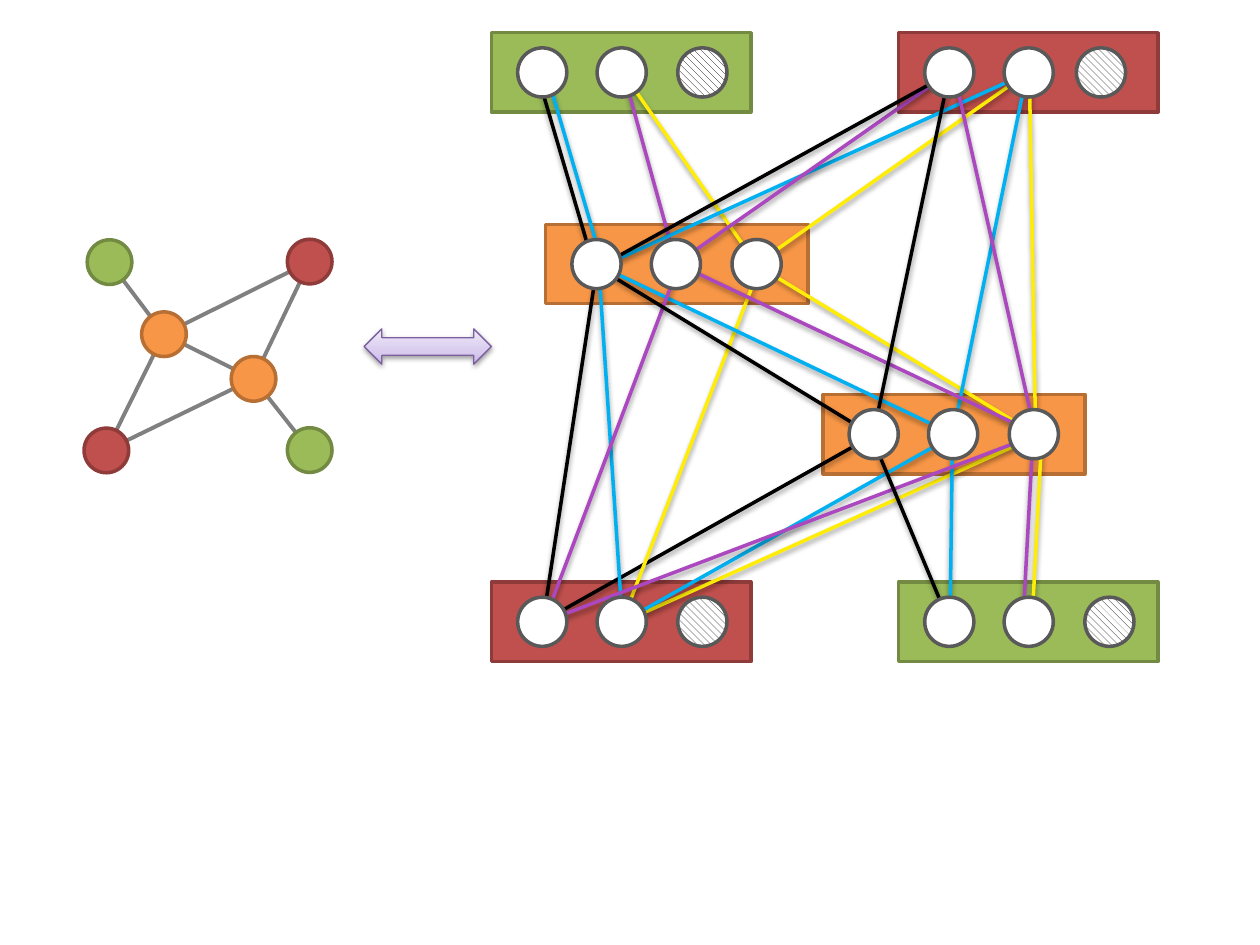
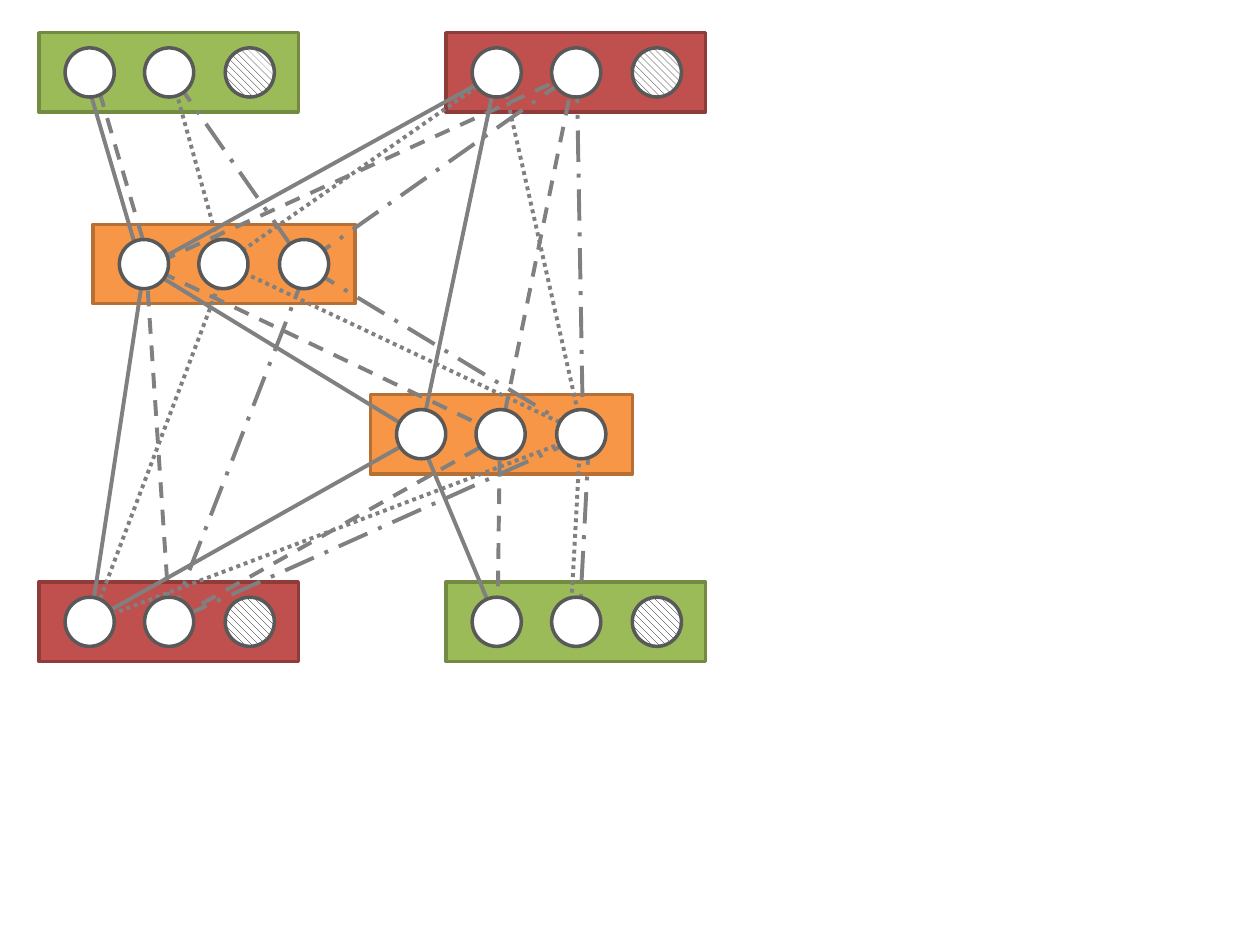
from dataclasses import dataclass
from enum import Enum
from typing import NamedTuple, Optional

from lxml.etree import SubElement
from pptx import Presentation
from pptx.dml.color import RGBColor
from pptx.enum.dml import MSO_LINE, MSO_PATTERN
from pptx.enum.shapes import MSO_CONNECTOR, MSO_SHAPE
from pptx.oxml import parse_xml
from pptx.oxml.ns import nsdecls, qn
from pptx.util import Pt


class Paint(NamedTuple):
    fill: str
    line: str


@dataclass(frozen=True)
class Theme:
    green: Paint = Paint("9BBB59", "738A42")
    red: Paint = Paint("C0504D", "8E3B39")
    orange: Paint = Paint("F79646", "B76F34")
    slot: Paint = Paint("FFFFFF", "595959")
    arrow_line: str = "7D60A0"
    arrow_stops: tuple = ((0, "C9B5E8"), (35, "D8CBEE"), (100, "F0EAF9"))
    black: str = "000000"
    blue: str = "00B0F0"
    purple: str = "AB47BF"
    yellow: str = "FFED07"
    gray: str = "808080"
    outline: float = 2
    edge: float = 2.25
    arrow_outline: float = 0.75


THEME = Theme()


class Signal(Enum):
    """Each kind of wire, with its colour and its dash."""
    FIRST = (THEME.black, None)
    SECOND = (THEME.blue, MSO_LINE.DASH)
    THIRD = (THEME.purple, MSO_LINE.ROUND_DOT)
    FOURTH = (THEME.yellow, MSO_LINE.LONG_DASH_DOT)


class Node(NamedTuple):
    paint: Paint
    x: float
    y: float


class Tray(NamedTuple):
    paint: Paint
    left: float
    top: float


class Wire(NamedTuple):
    signal: Signal
    x1: float
    y1: float
    x2: float
    y2: float


NODE_SIZE = 25.5
NODES = {
    "green top": Node(THEME.green, 62.6, 149.8),
    "red bottom": Node(THEME.red, 60.8, 257.4),
    "green bottom": Node(THEME.green, 177, 257.2),
    "red top": Node(THEME.red, 177, 149.5),
    "orange left": Node(THEME.orange, 93.7, 191),
    "orange right": Node(THEME.orange, 144.9, 216.5),
}
EDGES = (
    ("red top", "orange left"),
    ("orange left", "red bottom"),
    ("green top", "orange left"),
    ("orange right", "orange left"),
    ("red top", "orange right"),
    ("green bottom", "orange right"),
    ("orange right", "red bottom"),
)

TRAY_HEIGHT = 45.4
SLOT_SIZE = 28.1
SLOT_OFFSETS = (15, 60.4, 106.5)
TOP_RED = Tray(THEME.red, 513.4, 18.7)
TRAYS = (
    TOP_RED,
    Tray(THEME.orange, 311.8, 128.2),
    Tray(THEME.green, 280.8, 18.7),
    Tray(THEME.orange, 470.2, 225.4),
    Tray(THEME.green, 513.4, 332.6),
    Tray(THEME.red, 280.8, 332.6),
)

S = Signal
WIRES = (
    Wire(S.FIRST, 341.3, 151.2, 310.3, 355),
    Wire(S.FIRST, 499.7, 248.4, 310.3, 355),
    Wire(S.SECOND, 311, 37.4, 343.4, 147.6),
    Wire(S.THIRD, 355.7, 39.6, 386.6, 151.2),
    Wire(S.FOURTH, 357.1, 43.2, 432, 150.5),
    Wire(S.FOURTH, 432.7, 150.5, 588.2, 41),
    Wire(S.FOURTH, 434.2, 152.6, 591.1, 247.7),
    Wire(S.FOURTH, 588.2, 41, 591.8, 247.7),
    Wire(S.THIRD, 590.4, 247, 584.6, 355),
    Wire(S.FOURTH, 591.1, 249.8, 357.1, 355),
    Wire(S.FOURTH, 595.4, 247.7, 589.7, 355.7),
    Wire(S.FOURTH, 434.2, 152.6, 355, 356.4),
    Wire(S.SECOND, 342, 150.5, 355.7, 355.7),
    Wire(S.SECOND, 545.8, 248.4, 355, 355.7),
    Wire(S.SECOND, 544.3, 247.7, 542.9, 355.7),
    Wire(S.SECOND, 586.8, 41.8, 543.6, 252.7),
    Wire(S.SECOND, 586.8, 41.8, 341.3, 153.4),
    Wire(S.SECOND, 542.2, 247, 341.3, 151.2),
    Wire(S.THIRD, 388.1, 151.2, 311, 355),
    Wire(S.THIRD, 592.6, 248.4, 311.8, 355),
    Wire(S.THIRD, 545, 41, 591.8, 248.4),
    Wire(S.THIRD, 542.2, 41.8, 386.6, 150.5),
    Wire(S.THIRD, 590.4, 247, 386.6, 150.5),
    Wire(S.FIRST, 306.7, 41, 339.1, 151.2),
    Wire(S.FIRST, 498.2, 248.4, 341.3, 152.6),
    Wire(S.FIRST, 542.2, 43.2, 499, 248.4),
    Wire(S.FIRST, 498.2, 249.8, 542.2, 355),
    Wire(S.FIRST, 342, 152.6, 544.3, 41),
)


def rgb(color: str) -> RGBColor:
    return RGBColor.from_string(color)


def add_shadow(effects) -> None:
    """Fill an effect list with the soft shadow that falls straight down."""
    shadow = SubElement(effects, qn("a:outerShdw"), blurRad=str(Pt(3.1)),
                        dist=str(Pt(1.6)), dir="5400000", rotWithShape="0")
    color = SubElement(shadow, qn("a:srgbClr"), val=THEME.black)
    SubElement(color, qn("a:alpha"), val="38000")


def draw_shape(s, kind: MSO_SHAPE, left: float, top: float, width: float,
               height: float, paint: Paint, hatched: bool = False):
    sp = s.shapes.add_shape(kind, Pt(left), Pt(top), Pt(width), Pt(height))
    sp.shadow.inherit = False
    if hatched:
        sp.fill.patterned()
        sp.fill.pattern = MSO_PATTERN.WIDE_DOWNWARD_DIAGONAL
        sp.fill.fore_color.rgb = rgb(THEME.black)
        sp.fill.back_color.rgb = rgb(paint.fill)
    else:
        sp.fill.solid()
        sp.fill.fore_color.rgb = rgb(paint.fill)
    sp.line.color.rgb = rgb(paint.line)
    sp.line.width = Pt(THEME.outline)
    return sp


def draw_line(s, x1: float, y1: float, x2: float, y2: float, color: str,
              width: float, dash: Optional[MSO_LINE] = None,
              shadow: bool = False) -> None:
    line = s.shapes.add_connector(MSO_CONNECTOR.STRAIGHT,
                                  Pt(x1), Pt(y1), Pt(x2), Pt(y2))
    line.line.color.rgb = rgb(color)
    line.line.width = Pt(width)
    if dash is not None:
        line.line.dash_style = dash
    effects = SubElement(line._element.spPr, qn("a:effectLst"))
    if shadow:
        add_shadow(effects)


def draw_slots(s, tray: Tray, dx: float, hatch_dx: float) -> None:
    """Draw three slots; the last is hatched except in an orange tray."""
    top = tray.top + (TRAY_HEIGHT - SLOT_SIZE) / 2
    for i, offset in enumerate(SLOT_OFFSETS):
        hatched = i == 2 and tray.paint != THEME.orange
        if hatched and tray is TOP_RED:
            offset += hatch_dx
        draw_shape(s, MSO_SHAPE.OVAL, tray.left + offset + dx, top,
                   SLOT_SIZE, SLOT_SIZE, THEME.slot, hatched)


def draw_network(s, dx: float = 0, colored: bool = True,
                 hatch_dx: float = 0) -> None:
    """Draw trays, wires and slots, with signals told apart by colour or dash."""
    for tray in TRAYS:
        width = 149.8 if tray.paint == THEME.orange else 148.3
        draw_shape(s, MSO_SHAPE.RECTANGLE, tray.left + dx, tray.top,
                   width, TRAY_HEIGHT, tray.paint)
    for wire in WIRES:
        color, dash = wire.signal.value
        ends = (wire.x1 + dx, wire.y1, wire.x2 + dx, wire.y2)
        if colored:
            draw_line(s, *ends, color, THEME.outline, shadow=True)
        else:
            draw_line(s, *ends, THEME.gray, THEME.edge, dash)
    for tray in TRAYS:
        draw_slots(s, tray, dx, hatch_dx)


def draw_small_graph(s) -> None:
    for start, end in EDGES:
        a, b = NODES[start], NODES[end]
        draw_line(s, a.x, a.y, b.x, b.y, THEME.gray, THEME.edge)
    for node in NODES.values():
        draw_shape(s, MSO_SHAPE.OVAL, node.x - NODE_SIZE / 2,
                   node.y - NODE_SIZE / 2, NODE_SIZE, NODE_SIZE, node.paint)


def draw_double_arrow(s) -> None:
    sp = draw_shape(s, MSO_SHAPE.LEFT_RIGHT_ARROW, 208.1, 187.9, 72.7, 20.2,
                    Paint(THEME.arrow_stops[0][1], THEME.arrow_line))
    sp.line.width = Pt(THEME.arrow_outline)
    stops = "".join(f'<a:gs pos="{pos * 1000}"><a:srgbClr val="{color}"/></a:gs>'
                    for pos, color in THEME.arrow_stops)
    gradient = parse_xml(f'<a:gradFill {nsdecls("a")}><a:gsLst>{stops}</a:gsLst>'
                         '<a:lin ang="16200000" scaled="1"/></a:gradFill>')
    props = sp._element.spPr
    props.replace(props.find(qn("a:solidFill")), gradient)
    add_shadow(props.find(qn("a:effectLst")))


def main() -> None:
    prs = Presentation()
    prs.slide_width, prs.slide_height = Pt(720), Pt(540)
    blank = prs.slide_layouts[6]

    s = prs.slides.add_slide(blank)
    draw_network(s, hatch_dx=-4.8)
    draw_small_graph(s)
    draw_double_arrow(s)

    s = prs.slides.add_slide(blank)
    draw_network(s, dx=-258.6, colored=False)

    prs.save("out.pptx")


if __name__ == "__main__":
    main()
